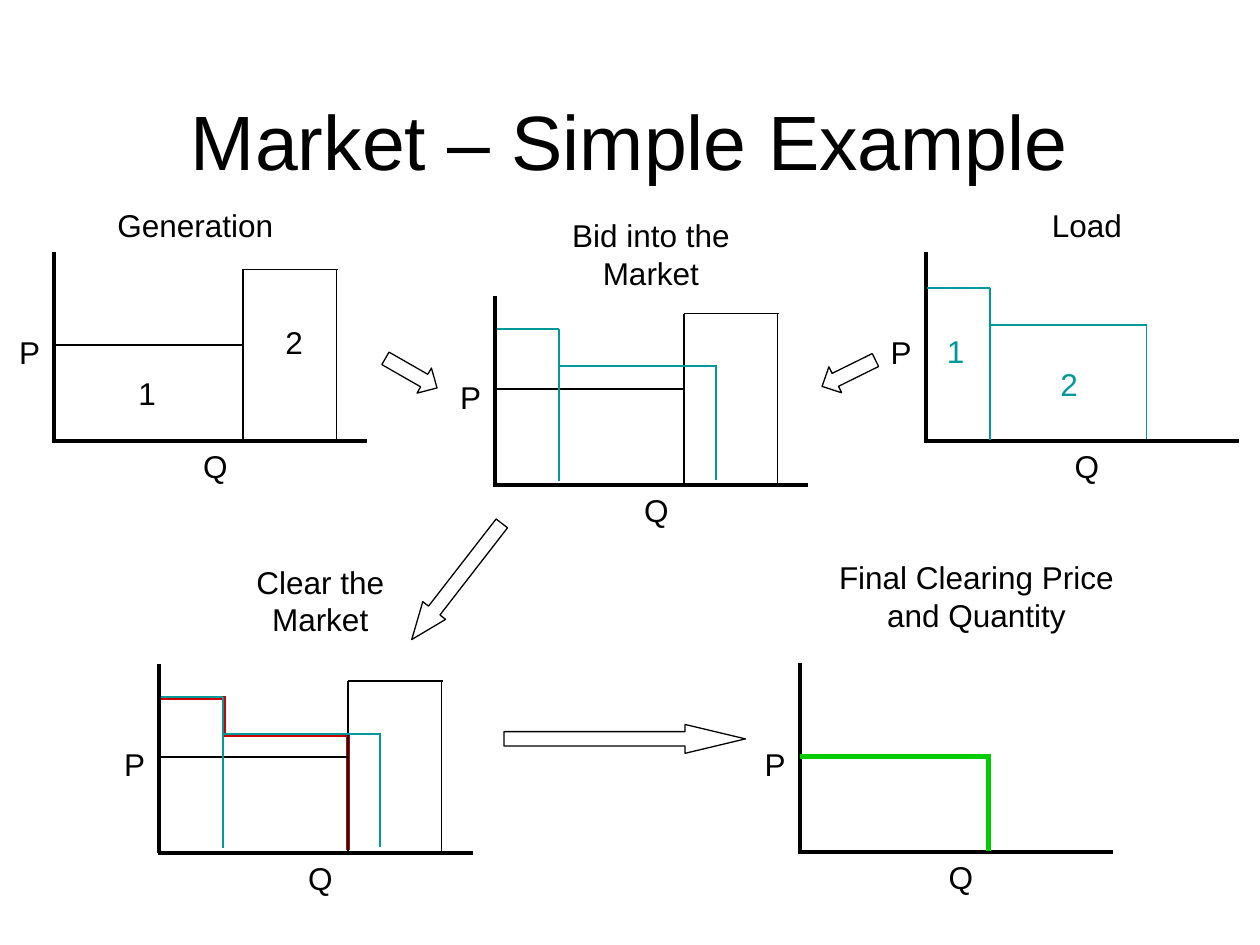
from lxml.etree import SubElement
from pptx import Presentation
from pptx.dml.color import RGBColor
from pptx.enum.shapes import MSO_CONNECTOR, MSO_SHAPE
from pptx.enum.text import MSO_ANCHOR, MSO_AUTO_SIZE, PP_ALIGN as ALIGN
from pptx.oxml.ns import qn
from pptx.util import Pt

COLORS = {"ink": "000000", "load": "009999", "clear": "CC0000", "final": "00CC00"}
FONT = "Arial"
LABEL_H = 29

SUPPLY = [(1, 53.3, 109, 53.3), (109, 53.3, 109, 107.3), (109, 10, 163, 10),
          (109, 10, 109, 107.3), (162.3, 10, 162.3, 107.3)]
DEMAND = [(37.6, 41.8, 127.6, 41.8), (2, 20.7, 37.6, 20.7),
          (127.2, 41.8, 127.2, 106.6), (37.6, 20.7, 37.6, 107.3)]
CLEARING = [(1.4, 19.6, 37.8, 19.6), (37.8, 41, 109.4, 41),
            (37.8, 18.7, 37.8, 40.3), (108.7, 41, 108.7, 106.6)]
SETTLED = [(1, 53.3, 109, 53.3), (109, 51.8, 109, 107.3)]


def style_font(font, size, color="ink"):
    """Apply the slide's typeface with a size and a named colour."""
    font.name = FONT
    font.size = Pt(size)
    font.color.rgb = RGBColor.from_string(COLORS[color])


def add_title(slide, box, text):
    """Place the slide title in its box."""
    title = slide.shapes.title
    title.left, title.top, title.width, title.height = map(Pt, box)
    title.text_frame.text = text
    title.text_frame.vertical_anchor = MSO_ANCHOR.MIDDLE
    heading = title.text_frame.paragraphs[0]
    heading.alignment = ALIGN.CENTER
    style_font(heading.runs[0].font, 44)


def add_label(shapes, box, text, align=ALIGN.CENTER, color="ink"):
    """Add an 18 pt label in the given box."""
    frame = shapes.add_textbox(*map(Pt, box)).text_frame
    frame.word_wrap = True
    frame.auto_size = MSO_AUTO_SIZE.SHAPE_TO_FIT_TEXT
    frame.text = text
    frame.paragraphs[0].alignment = align
    style_font(frame.paragraphs[0].runs[0].font, 18, color)


def add_steps(shapes, left, top, steps, color="ink", width=1):
    """Draw line segments measured from the panel's top left corner."""
    for x1, y1, x2, y2 in steps:
        step = shapes.add_connector(MSO_CONNECTOR.STRAIGHT, Pt(left + x1), Pt(top + y1),
                                    Pt(left + x2), Pt(top + y2))
        step.line.color.rgb = RGBColor.from_string(COLORS[color])
        step.line.width = Pt(width)
        SubElement(step._element.spPr, qn("a:effectLst"))


def add_axes(shapes, left, top):
    """Draw the price and quantity axes with their letters."""
    add_steps(shapes, left, top, [(1, 0, 1, 108), (0, 108, 180, 108)], width=2.25)
    add_label(shapes, (left - 30, top + 43, 30, LABEL_H), "P", ALIGN.RIGHT)
    add_label(shapes, (left + 66, top + 108, 54, LABEL_H), "Q")


def add_generation(slide, left, top):
    """Draw the generation offers."""
    shapes = slide.shapes.add_group_shape().shapes
    add_axes(shapes, left, top)
    add_label(shapes, (left + 30, top - 30, 110, LABEL_H), "Generation", ALIGN.LEFT)
    add_steps(shapes, left, top, SUPPLY)
    add_label(shapes, (left + 42, top + 66, 30, LABEL_H), "1", ALIGN.LEFT)
    add_label(shapes, (left + 126, top + 37, 24, LABEL_H), "2", ALIGN.LEFT)


def add_load(slide, left, top):
    """Draw the load bids."""
    shapes = slide.shapes.add_group_shape().shapes
    add_axes(shapes, left, top)
    add_label(shapes, (left + 66, top - 30, 84, LABEL_H), "Load", ALIGN.LEFT)
    add_steps(shapes, left, top, DEMAND, "load")
    add_label(shapes, (left + 6, top + 42, 42, LABEL_H), "1", ALIGN.LEFT, "load")
    add_label(shapes, (left + 41, top + 61, 84, LABEL_H), "2", color="load")


def add_market(slide, left, top, clearing=()):
    """Draw supply and demand together, over an optional clearing line."""
    shapes = slide.shapes.add_group_shape().shapes
    add_steps(shapes, left, top, clearing, "clear", 2.25)
    add_axes(shapes, left, top)
    add_steps(shapes, left, top, SUPPLY)
    add_steps(shapes, left, top - 1.7, DEMAND, "load")


def add_final(slide, left, top):
    """Draw the final price and quantity."""
    shapes = slide.shapes.add_group_shape().shapes
    add_axes(shapes, left, top)
    add_steps(shapes, left, top, SETTLED, "final", 3)


def add_arrow(slide, box, head, rotation=0):
    """Add an outlined block arrow with the given head length."""
    arrow = slide.shapes.add_shape(MSO_SHAPE.RIGHT_ARROW, *map(Pt, box))
    arrow.adjustments[1] = head
    arrow.rotation = rotation
    arrow.shadow.inherit = False
    arrow.fill.background()
    arrow.line.color.rgb = RGBColor.from_string(COLORS["ink"])
    arrow.line.width = Pt(0.75)


def main():
    """Build and save the slide."""
    deck = Presentation()
    deck.slide_width, deck.slide_height = Pt(720), Pt(540)
    slide = deck.slides.add_slide(deck.slide_layouts[5])
    add_title(slide, (36, 48, 648, 63.5), "Market – Simple Example")

    add_generation(slide, 30, 144)
    add_load(slide, 528, 144)
    add_market(slide, 282, 169.2)
    add_market(slide, 90, 379.2, CLEARING)
    add_final(slide, 456, 379)

    for box, text in [((318, 120, 108, 50.5), "Bid into the Market"),
                      ((126, 318, 114, 50.5), "Clear the Market"),
                      ((468, 315.5, 180, 50.5), "Final Clearing Price and Quantity")]:
        add_label(slide.shapes, box, text)

    for box, head, rotation in [((218, 205, 34, 16.5), 0.51, 29.8),
                                ((468, 205, 34, 16.5), 0.51, 153.7),
                                ((288, 414, 138, 16.5), 2.09, 0),
                                ((219, 324, 84, 16.5), 1.27, 127.8)]:
        add_arrow(slide, box, head, rotation)

    deck.save("out.pptx")


if __name__ == "__main__":
    main()
